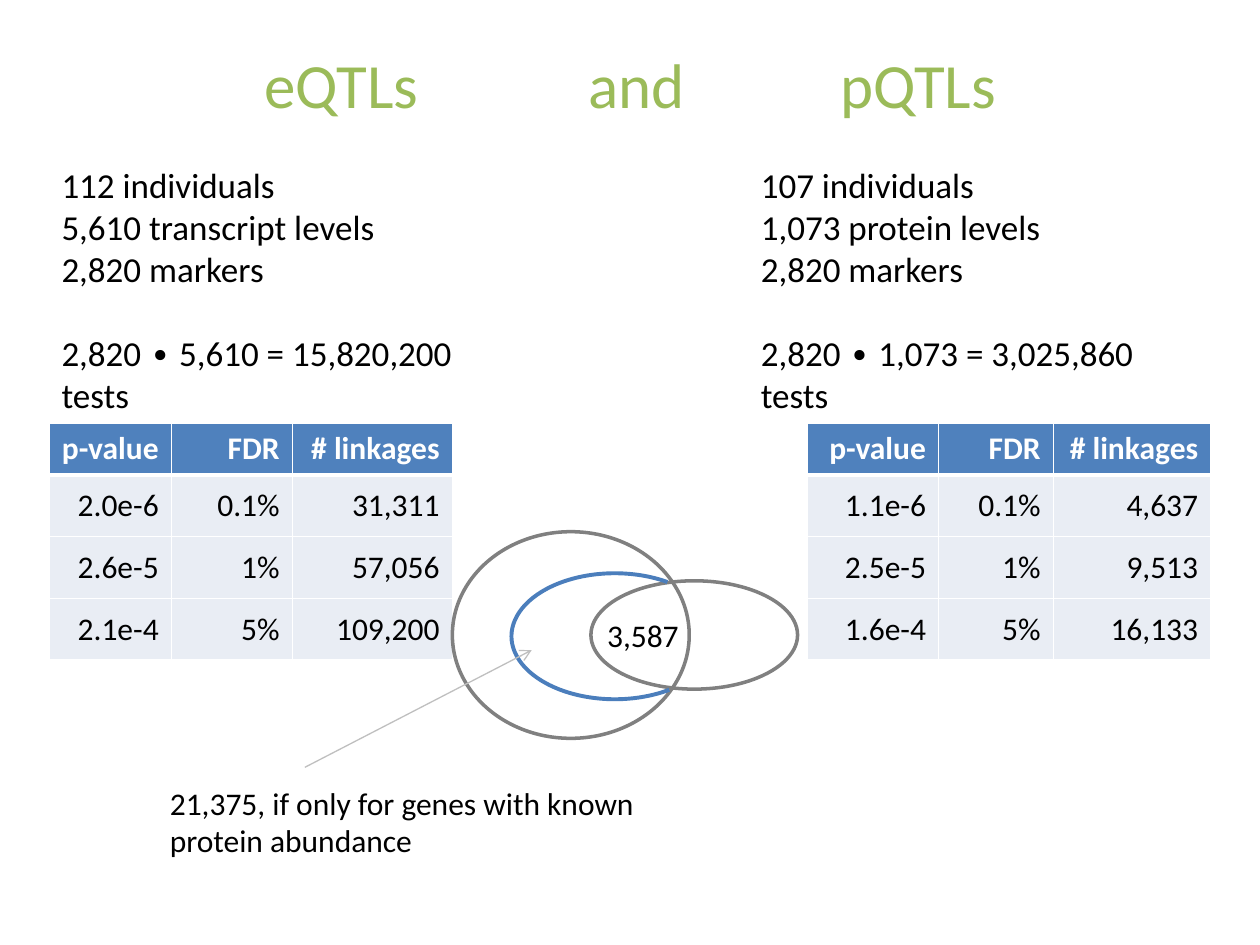
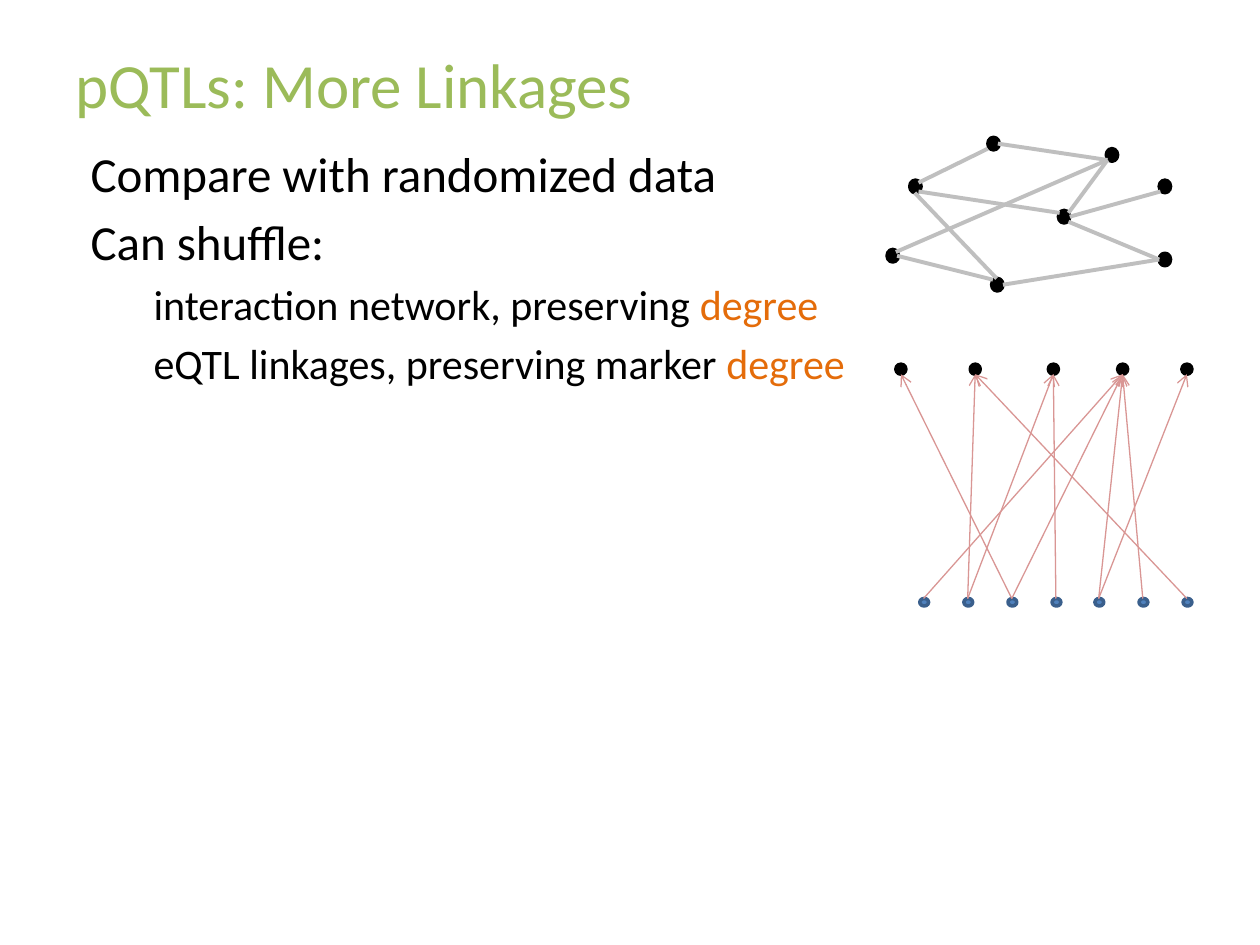
"""Build two slides on eQTL and pQTL linkages."""
from typing import NamedTuple

from lxml.etree import SubElement
from pptx import Presentation
from pptx.dml.color import RGBColor
from pptx.enum.shapes import MSO_CONNECTOR, MSO_SHAPE
from pptx.enum.text import MSO_ANCHOR, PP_ALIGN
from pptx.oxml.ns import qn
from pptx.util import Pt

SCALE = 9144
FONT = "Calibri"
BLACK, WHITE, GREEN, ORANGE = "000000", "FFFFFF", "9BBB59", "E46C0A"
BLUE, NAVY, ARC, PALE = "4F81BD", "3A5F8C", "4B7EBC", "E9EDF4"
GRAY, SILVER, PINK = "808080", "BFBFBF", "D99694"


class Box(NamedTuple):
    """A place on the slide in px."""
    left: int
    top: int
    width: int
    height: int


class Part(NamedTuple):
    """A run of text with its colour."""
    text: str
    color: str = BLACK


class Line(NamedTuple):
    """A straight line from one point to another."""
    x1: int
    y1: int
    x2: int
    y2: int


class Dot(NamedTuple):
    """A small disc given by its centre and size."""
    x: int
    y: int
    width: int
    height: int
    fill: str = BLACK
    edge: str = BLACK


class Study(NamedTuple):
    """One side of the first slide: facts and a table."""
    facts: tuple[str, ...]
    place: Box
    grid: Box
    cols: tuple[int, ...]
    rows: tuple[tuple[str, ...], ...]


HEAD = ("p-value", "FDR", "# linkages")
STUDIES = (
    Study(("112 individuals", "5,610 transcript levels", "2,820 markers",
           "2,820 ∙ 5,610 = 15,820,200 tests"),
          Box(39, 125, 383, 178), Box(39, 336, 320, 188), (97, 96, 127),
          (("2.0e-6", "0.1%", "31,311"), ("2.6e-5", "1%", "57,056"),
           ("2.1e-4", "5%", "109,200"))),
    Study(("107 individuals", "1,073 protein levels", "2,820 markers",
           "2,820 ∙ 1,073 = 3,025,860 tests"),
          Box(594, 125, 367, 178), Box(641, 336, 320, 188), (104, 91, 125),
          (("1.1e-6", "0.1%", "4,637"), ("2.5e-5", "1%", "9,513"),
           ("1.6e-4", "5%", "16,133"))),
)
NODES = ((844, 172), (924, 148), (882, 123), (924, 206),
         (726, 148), (708, 203), (788, 114), (791, 226))
EDGES = (
    Line(849, 172, 921, 152), Line(848, 169, 879, 127), Line(848, 176, 920, 206),
    Line(841, 169, 729, 152), Line(712, 203, 788, 222), Line(792, 114, 879, 127),
    Line(791, 221, 726, 153), Line(796, 226, 920, 206), Line(784, 118, 729, 145),
    Line(879, 127, 711, 200),
)
GENES = (715, 774, 836, 891, 942)
MARKS = tuple(round(733 + 209 * i / 6) for i in range(7))
LINKS = ((0, 3), (1, 1), (2, 0), (1, 2), (2, 3),
         (3, 2), (4, 3), (5, 3), (6, 1), (4, 4))


def px(*sizes: int) -> tuple[int, ...]:
    """Turn px into EMU."""
    return tuple(size * SCALE for size in sizes)


def paint(target, code: str) -> None:
    """Give a fill one solid colour."""
    target.solid()
    target.fore_color.rgb = RGBColor.from_string(code)


def style(run, size: int, color: str, bold: bool = False) -> None:
    """Set the font of a run."""
    run.font.name, run.font.size, run.font.bold = FONT, Pt(size), bold
    run.font.color.rgb = RGBColor.from_string(color)


def write(slide, box: Box, lines: tuple[str, ...], size: int, color: str = BLACK):
    """Add a text box with one paragraph a line."""
    frame = slide.shapes.add_textbox(*px(*box)).text_frame
    frame.word_wrap = True
    frame.text = "\n".join(lines)
    for item in frame.paragraphs:
        for run in item.runs:
            style(run, size, color)
    return frame


def title(slide, text: str, stops: tuple[int, ...] = ()) -> None:
    """Add the slide title, with tab stops if any."""
    frame = write(slide, Box(50, 30, 900, 72), (text,), 36, GREEN)
    frame.vertical_anchor = MSO_ANCHOR.MIDDLE
    if stops:
        tabs = SubElement(frame.paragraphs[0]._p.get_or_add_pPr(), qn("a:tabLst"))
        for stop in px(*stops):
            SubElement(tabs, qn("a:tab"), pos=str(stop), algn="l")


def outline(shapes, kind, box: Box, edge: str, width: float = 2, fill: str = ""):
    """Add a preset shape with a coloured edge."""
    shape = shapes.add_shape(kind, *px(*box))
    shape.shadow.inherit = False
    if fill:
        paint(shape.fill, fill)
    else:
        shape.fill.background()
    paint(shape.line.fill, edge)
    shape.line.width = Pt(width)
    return shape


def spot(shapes, dot: Dot) -> None:
    """Draw a dot around its centre."""
    box = Box(dot.x - dot.width // 2, dot.y - dot.height // 2, dot.width, dot.height)
    outline(shapes, MSO_SHAPE.OVAL, box, dot.edge, 2, dot.fill)


def link(shapes, line: Line, color: str, width: float, arrow: bool = False) -> None:
    """Draw a line, with an open arrowhead if asked."""
    wire = shapes.add_connector(MSO_CONNECTOR.STRAIGHT, *px(*line))
    paint(wire.line.fill, color)
    wire.line.width = Pt(width)
    if arrow:
        SubElement(wire.line._get_or_add_ln(), qn("a:tailEnd"), type="arrow")
    SubElement(wire._element.spPr, qn("a:effectLst"))


def border(cell, bottom: int) -> None:
    """Give a cell white borders, in points."""
    props = cell._tc.get_or_add_tcPr()
    for spot_at, (side, width) in enumerate(
            (("lnL", 1), ("lnR", 1), ("lnT", 1), ("lnB", bottom))):
        edge = props.makeelement(qn(f"a:{side}"), {"w": str(Pt(width))})
        fill = SubElement(edge, qn("a:solidFill"))
        SubElement(fill, qn("a:srgbClr"), val=WHITE)
        props.insert(spot_at, edge)


def table(slide, study: Study) -> None:
    """Add the table of linkages for one study."""
    data = (HEAD, *study.rows)
    grid = slide.shapes.add_table(len(data), len(HEAD), *px(*study.grid)).table
    for col, width in zip(grid.columns, px(*study.cols)):
        col.width = width
    for i, (row, texts) in enumerate(zip(grid.rows, data)):
        top = i == 0
        row.height = px(41 if top else 49)[0]
        for cell, text in zip(row.cells, texts):
            cell.text = text
            cell.vertical_anchor = MSO_ANCHOR.MIDDLE
            item = cell.text_frame.paragraphs[0]
            item.alignment = PP_ALIGN.RIGHT
            style(item.runs[0], 18, WHITE if top else BLACK, top)
            paint(cell.fill, BLUE if top else PALE)
            border(cell, 3 if top else 1)


def compare(slide) -> None:
    """Fill the slide that sets both studies side by side."""
    title(slide, "\teQTLs\tand\tpQTLs", (150, 407, 607))
    for study in STUDIES:
        table(slide, study)
        facts = write(slide, study.place, study.facts, 20)
        facts.paragraphs[-1].space_before = Pt(24)
    for box in (Box(359, 422, 188, 164), Box(469, 461, 164, 86)):
        outline(slide.shapes, MSO_SHAPE.OVAL, box, GRAY)
    write(slide, Box(472, 484, 80, 40), ("3,587",), 18)
    arc = outline(slide.shapes, MSO_SHAPE.ARC, Box(406, 455, 164, 100), ARC, 2.25)
    arc.adjustments[0], arc.adjustments[1] = 26.71, 188.48
    write(slide, Box(125, 617, 414, 71),
          ("21,375, if only for genes with known protein abundance",), 18)
    link(slide.shapes, Line(242, 609, 422, 516), SILVER, 0.75, True)


def body(slide) -> None:
    """Write the outline of the second slide."""
    hot = Part("degree", ORANGE)
    items = (
        (0, (Part("Compare with randomized data"),)),
        (0, (Part("Can shuffle:"),)),
        (1, (Part("interaction network, preserving "), hot)),
        (1, (Part("eQTL linkages, preserving marker "), hot)),
    )
    frame = write(slide, Box(62, 109, 641, 586), ("",) * len(items), 28)
    for item, (level, parts) in zip(frame.paragraphs, items):
        item.level = level
        item.space_before = Pt(5)
        left, indent = px(*((81, -31) if level else (38, -38)))
        props = item._p.get_or_add_pPr()
        props.set("marL", str(left))
        props.set("indent", str(indent))
        for part in parts:
            run = item.add_run()
            run.text = part.text
            style(run, 24 if level else 28, part.color)


def shuffle(slide) -> None:
    """Fill the slide on shuffled networks and linkages."""
    title(slide, "pQTLs: More Linkages")
    body(slide)
    net = slide.shapes.add_group_shape().shapes
    for x, y in NODES:
        spot(net, Dot(x, y, 9, 10))
    for edge in EDGES:
        link(net, edge, SILVER, 2.25)
    web = slide.shapes.add_group_shape().shapes
    for x in GENES:
        spot(web, Dot(x, 293, 8, 8))
    for x in MARKS:
        spot(web, Dot(x, 478, 7, 6, BLUE, NAVY))
    for mark, gene in LINKS:
        link(web, Line(MARKS[mark], 475, GENES[gene], 297), PINK, 0.75, True)


def main() -> None:
    """Build and save the deck."""
    deck = Presentation()
    deck.slide_width, deck.slide_height = px(1000, 750)
    for fill in (compare, shuffle):
        fill(deck.slides.add_slide(deck.slide_layouts[6]))
    deck.save("out.pptx")


if __name__ == "__main__":
    main()
